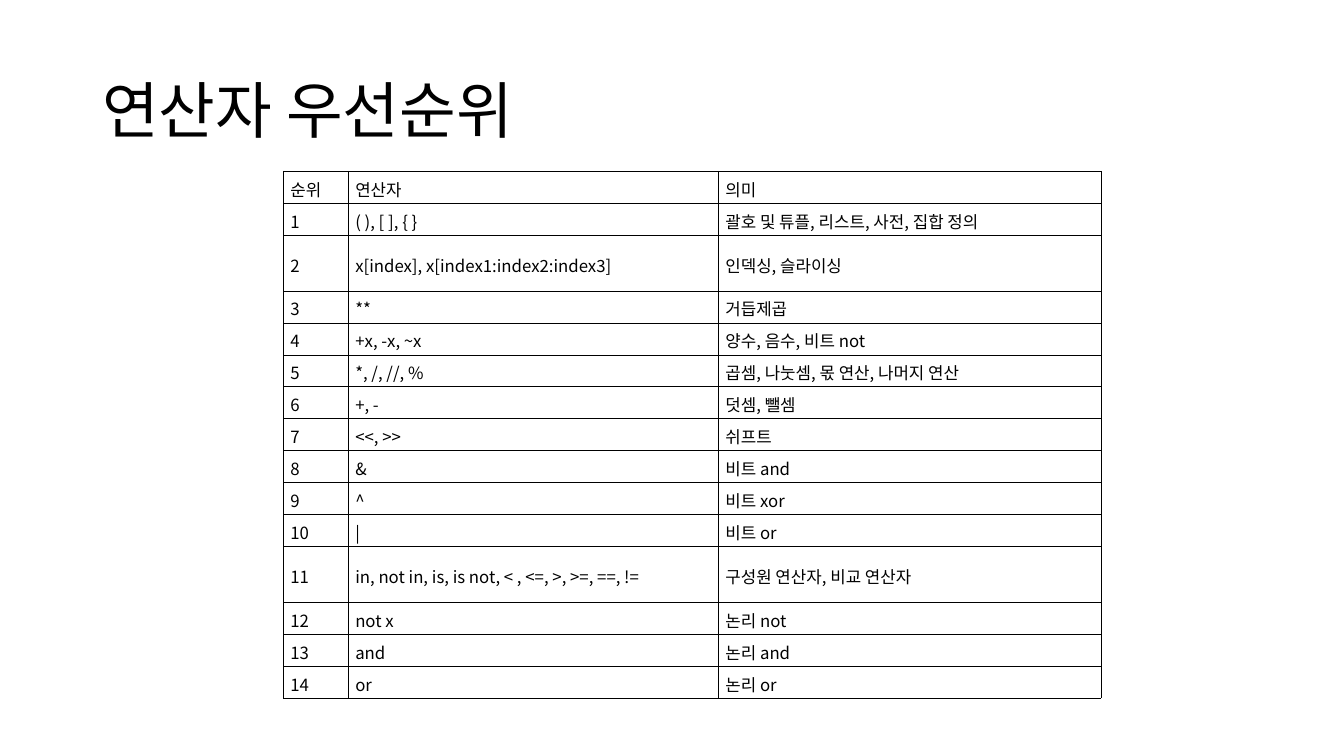
from pptx import Presentation
from pptx.dml.color import RGBColor
from pptx.enum.text import MSO_ANCHOR, PP_ALIGN
from pptx.oxml import parse_xml
from pptx.oxml.ns import nsdecls, qn
from pptx.util import Pt

COLORS = {"text": "000000", "border": "000000"}
FONT = "Noto Sans CJK KR"
BORDER_WIDTH = Pt(0.28)
COLUMN_WIDTHS = (46.4, 264.4, 273.2)
ROW_HEIGHT, TALL_ROW_HEIGHT = 22.8, 40
TALL_RANKS = (2, 11)

HEADINGS = ("순위", "연산자", "의미")
# Operators and meanings, highest precedence first
OPERATORS = (
    ("( ), [ ], { }", "괄호 및 튜플, 리스트, 사전, 집합 정의"),
    ("x[index], x[index1:index2:index3]", "인덱싱, 슬라이싱"),
    ("**", "거듭제곱"),
    ("+x, -x, ~x", "양수, 음수, 비트 not"),
    ("*, /, //, %", "곱셈, 나눗셈, 몫 연산, 나머지 연산"),
    ("+, -", "덧셈, 뺄셈"),
    ("<<, >>", "쉬프트"),
    ("&", "비트 and"),
    ("^", "비트 xor"),
    ("|", "비트 or"),
    ("in, not in, is, is not, < , <=, >, >=, ==, !=", "구성원 연산자, 비교 연산자"),
    ("not x", "논리 not"),
    ("and", "논리 and"),
    ("or", "논리 or"),
)


def style_paragraph(paragraph, size, line_spacing):
    paragraph.line_spacing = line_spacing
    font = paragraph.font
    font.size = Pt(size)
    font.name = FONT
    font.color.rgb = RGBColor.from_string(COLORS["text"])
    # Korean letters take the East Asian typeface
    latin = paragraph._p.pPr.find(qn("a:defRPr")).find(qn("a:latin"))
    latin.addnext(parse_xml(f'<a:ea {nsdecls("a")} typeface="{FONT}"/>'))


def add_title(slide, text):
    shape = slide.shapes.add_textbox(Pt(66), Pt(28.8), Pt(828), Pt(104.4))
    frame = shape.text_frame
    frame.word_wrap = True
    frame.vertical_anchor = MSO_ANCHOR.MIDDLE
    frame.text = text
    style_paragraph(frame.paragraphs[0], 44, 0.9)


def add_borders(cell):
    properties = cell._tc.get_or_add_tcPr()
    for index, side in enumerate("LRTB"):
        properties.insert(index, parse_xml(
            f'<a:ln{side} {nsdecls("a")} w="{BORDER_WIDTH}"><a:solidFill>'
            f'<a:srgbClr val="{COLORS["border"]}"/></a:solidFill></a:ln{side}>'))


def fill_cell(cell, text):
    cell.fill.background()
    add_borders(cell)
    cell.margin_left = cell.margin_right = Pt(5)
    cell.margin_top = cell.margin_bottom = Pt(1.4)
    cell.vertical_anchor = MSO_ANCHOR.MIDDLE
    cell.text = text
    paragraph = cell.text_frame.paragraphs[0]
    paragraph.alignment = PP_ALIGN.JUSTIFY
    paragraph.space_after = Pt(10)
    style_paragraph(paragraph, 12, 1.15)


def add_precedence_table(slide):
    rows = [HEADINGS]
    rows += [(str(rank), *entry) for rank, entry in enumerate(OPERATORS, 1)]
    heights = [TALL_ROW_HEIGHT if rank in TALL_RANKS else ROW_HEIGHT
               for rank in range(len(rows))]
    table = slide.shapes.add_table(
        len(rows), len(HEADINGS), Pt(202.4), Pt(122.2),
        Pt(sum(COLUMN_WIDTHS)), Pt(sum(heights))).table
    table.first_row = table.horz_banding = False
    for column, width in zip(table.columns, COLUMN_WIDTHS):
        column.width = Pt(width)
    for row, height, texts in zip(table.rows, heights, rows):
        row.height = Pt(height)
        for cell, text in zip(row.cells, texts):
            fill_cell(cell, text)


def main():
    presentation = Presentation()
    presentation.slide_width, presentation.slide_height = Pt(960), Pt(540)
    slide = presentation.slides.add_slide(presentation.slide_layouts[6])
    add_title(slide, "연산자 우선순위")
    add_precedence_table(slide)
    presentation.save("out.pptx")


if __name__ == "__main__":
    main()
